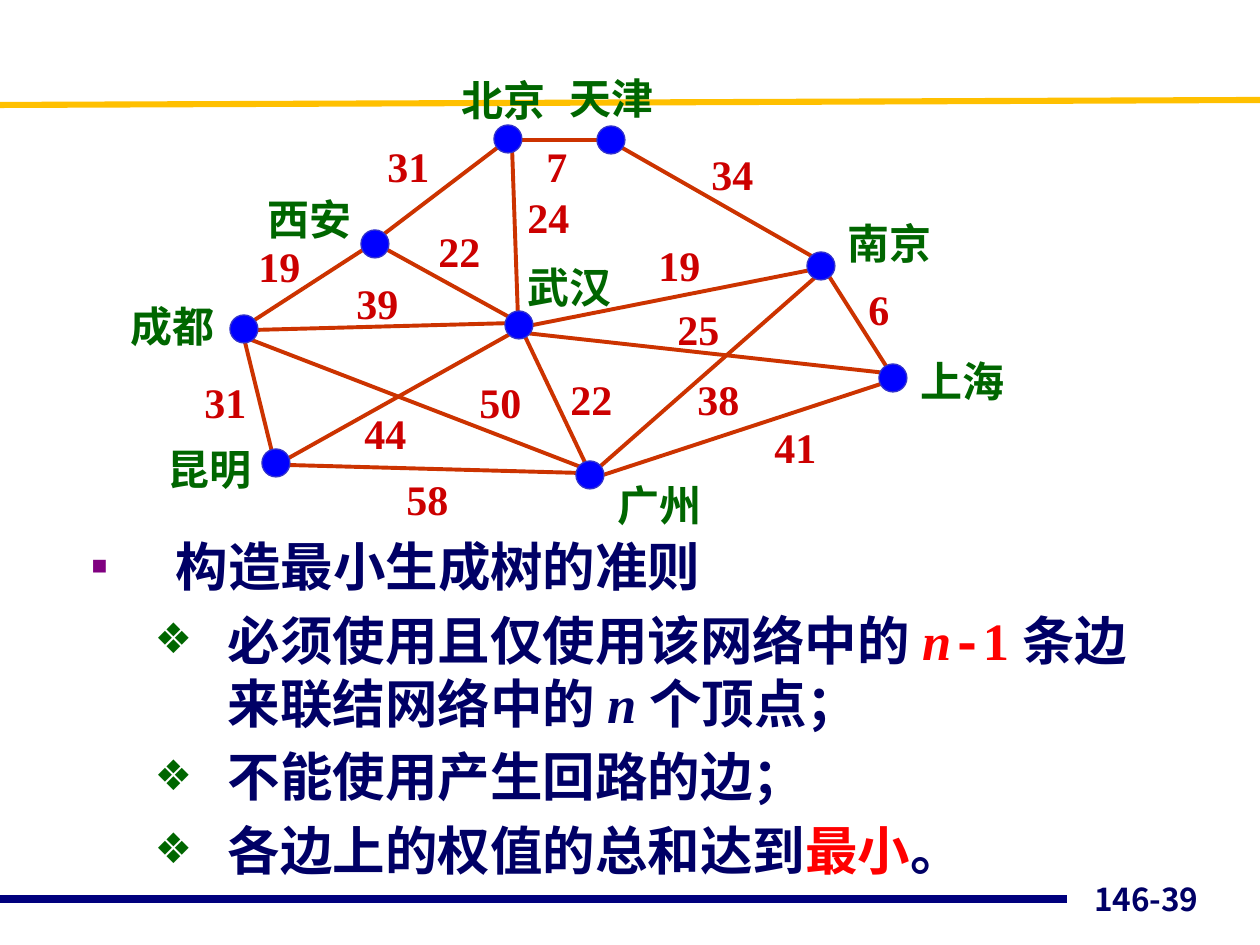
from dataclasses import dataclass

from lxml import etree
from pptx import Presentation
from pptx.dml.color import RGBColor
from pptx.enum.shapes import MSO_CONNECTOR, MSO_SHAPE
from pptx.enum.text import MSO_ANCHOR, MSO_AUTO_SIZE, PP_ALIGN
from pptx.oxml.ns import qn
from pptx.util import Pt

PX = 914400 // 126


@dataclass(frozen=True)
class Theme:
    """Colours, fonts and type sizes of the slide."""
    navy: str = "000066"
    footer: str = "00007D"
    gold: str = "FFC000"
    edge: str = "CC3300"
    weight: str = "CC0000"
    city: str = "006600"
    node: str = "0000FF"
    node_line: str = "3333CC"
    bullet: str = "800080"
    accent: str = "FF0000"
    serif: str = "Times New Roman"
    sans: str = "Arial"
    mono: str = "Courier New"
    cjk: str = "Noto Sans CJK JP"
    body_size: int = 30
    label_size: int = 24
    page_size: int = 18


THEME = Theme()


def add_line(shapes, ends, color, width):
    """Draw a straight line between two pixel points."""
    line = shapes.add_connector(MSO_CONNECTOR.STRAIGHT, *[v * PX for v in ends])
    line.line.color.rgb = RGBColor.from_string(color)
    line.line.width = Pt(width)
    etree.SubElement(line._element.spPr, qn("a:effectLst"))


def add_run(paragraph, text, size, color, font, italic=False):
    """Append a bold run with its Latin and East Asian fonts."""
    run = paragraph.add_run()
    run.text = text
    run.font.size = Pt(size)
    run.font.bold = True
    run.font.italic = italic
    run.font.color.rgb = RGBColor.from_string(color)
    run.font.name = font
    etree.SubElement(run._r.get_or_add_rPr(), qn("a:ea"), typeface=THEME.cjk)


prs = Presentation()
prs.slide_width, prs.slide_height = 1260 * PX, 945 * PX
slide = prs.slides.add_slide(prs.slide_layouts[1])
title = slide.shapes.title
title._element.getparent().remove(title._element)

# Frame lines and page number
add_line(slide.shapes, (0, 899, 1067, 899), THEME.footer, 4.5)
add_line(slide.shapes, (0, 105, 1260, 100), THEME.gold, 3.5)
page = slide.shapes.add_textbox(917 * PX, 861 * PX, 294 * PX, 63 * PX).text_frame
page.word_wrap = True
page.vertical_anchor = MSO_ANCHOR.BOTTOM
page.paragraphs[0].alignment = PP_ALIGN.RIGHT
add_run(page.paragraphs[0], "146-39", THEME.page_size, THEME.navy, THEME.cjk)

# Criteria list: level, then runs of text, colour, font, italic
criteria = [
    (0, [("构造最小生成树的准则", THEME.navy, THEME.sans, False)]),
    (1, [("必须使用且仅使用该网络中的 ", THEME.navy, THEME.serif, False),
         ("n", THEME.accent, THEME.serif, True),
         ("-", THEME.accent, THEME.mono, False),
         ("1 ", THEME.accent, THEME.serif, False),
         ("条边来联结网络中的 ", THEME.navy, THEME.serif, False),
         ("n ", THEME.navy, THEME.serif, True),
         ("个顶点；", THEME.navy, THEME.serif, False)]),
    (1, [("不能使用产生回路的边；", THEME.navy, THEME.serif, False)]),
    (1, [("各边上的权值的总和达到", THEME.navy, THEME.serif, False),
         ("最小", THEME.accent, THEME.serif, False),
         ("。", THEME.navy, THEME.serif, False)]),
]
# Left margin, indent, bullet, bullet colour, bullet size in percent
levels = [(84, -84, "■", THEME.bullet, 50), (136, -73, "❖", THEME.city, 80)]

body = slide.placeholders[1]
body.left, body.top, body.width, body.height = 79 * PX, 522 * PX, 1113 * PX, 383 * PX
frame = body.text_frame
frame.auto_size = MSO_AUTO_SIZE.NONE
frame.vertical_anchor = MSO_ANCHOR.TOP
frame.margin_top = 12 * PX
for number, (level, runs) in enumerate(criteria):
    paragraph = frame.add_paragraph() if number else frame.paragraphs[0]
    paragraph.level = level
    paragraph.line_spacing = Pt(36)
    paragraph.space_before = Pt(6 if number else 0)
    margin, indent, bullet, color, percent = levels[level]
    props = paragraph._p.get_or_add_pPr()
    props.set("marL", str(margin * PX))
    props.set("indent", str(indent * PX))
    bullet_color = etree.SubElement(props, qn("a:buClr"))
    etree.SubElement(bullet_color, qn("a:srgbClr"), val=color)
    etree.SubElement(props, qn("a:buSzPct"), val=str(percent * 1000))
    etree.SubElement(props, qn("a:buFont"), typeface=THEME.sans)
    etree.SubElement(props, qn("a:buChar"), char=bullet)
    for text, color, font, italic in runs:
        add_run(paragraph, text, THEME.body_size, color, font, italic)

# Network edges: end points, weight, label corner
edges = [
    ((522, 330, 590, 473), "22", (558, 367)),
    ((253, 321, 369, 246), "19", (246, 234)),
    ((384, 234, 501, 145), "31", (375, 134)),
    ((273, 456, 242, 330), "31", (192, 370)),
    ((287, 459, 512, 333), "44", (352, 401)),
    ((512, 146, 518, 318), "24", (515, 185)),
    ((528, 326, 811, 270), "19", (646, 233)),
    ((595, 471, 818, 275), "38", (685, 367)),
    ((827, 273, 888, 369), "6", (856, 277)),
    ((600, 476, 890, 381), "41", (762, 415)),
    ((287, 465, 580, 473), "58", (394, 467)),
    ((253, 330, 514, 323), "39", (344, 271)),
    ((384, 248, 520, 323), "22", (426, 219)),
    ((249, 339, 586, 469), "50", (467, 370)),
    ((525, 333, 886, 373), "25", (665, 297)),
    ((520, 140, 597, 140), "7", (534, 134)),
    ((619, 146, 815, 258), "34", (699, 142)),
]
# Cities: name, node corner, label corner
cities = [
    ("武汉", (505, 311), (515, 251)),
    ("昆明", (262, 449), (155, 433)),
    ("南京", (807, 252), (835, 207)),
    ("北京", (494, 125), (449, 64)),
    ("上海", (879, 364), (908, 345)),
    ("成都", (230, 315), (118, 290)),
    ("西安", (361, 230), (255, 183)),
    ("广州", (576, 461), (605, 469)),
    ("天津", (597, 126), (557, 62)),
]

network = slide.shapes.add_group_shape().shapes
for ends, _, _ in edges:
    add_line(network, ends, THEME.edge, 2.25)

for _, (x, y), _ in cities:
    node = network.add_shape(MSO_SHAPE.OVAL, x * PX, y * PX, 28 * PX, 28 * PX)
    node.shadow.inherit = False
    node.fill.solid()
    node.fill.fore_color.rgb = RGBColor.from_string(THEME.node)
    node.line.color.rgb = RGBColor.from_string(THEME.node_line)
    node.line.width = Pt(0.75)

# Labels: text, corner, width, top inset, colour
labels = [(name, corner, 109, 10, THEME.city) for name, _, corner in cities]
labels += [(weight, corner, 25 + 21 * len(weight), 6, THEME.weight)
           for _, weight, corner in edges]
for text, (x, y), width, inset, color in labels:
    label = network.add_textbox(x * PX, y * PX, width * PX, 63 * PX).text_frame
    label.word_wrap = False
    label.margin_top = inset * PX
    label.paragraphs[0].line_spacing = Pt(29)
    add_run(label.paragraphs[0], text, THEME.label_size, color, THEME.serif)

prs.save("out.pptx")
